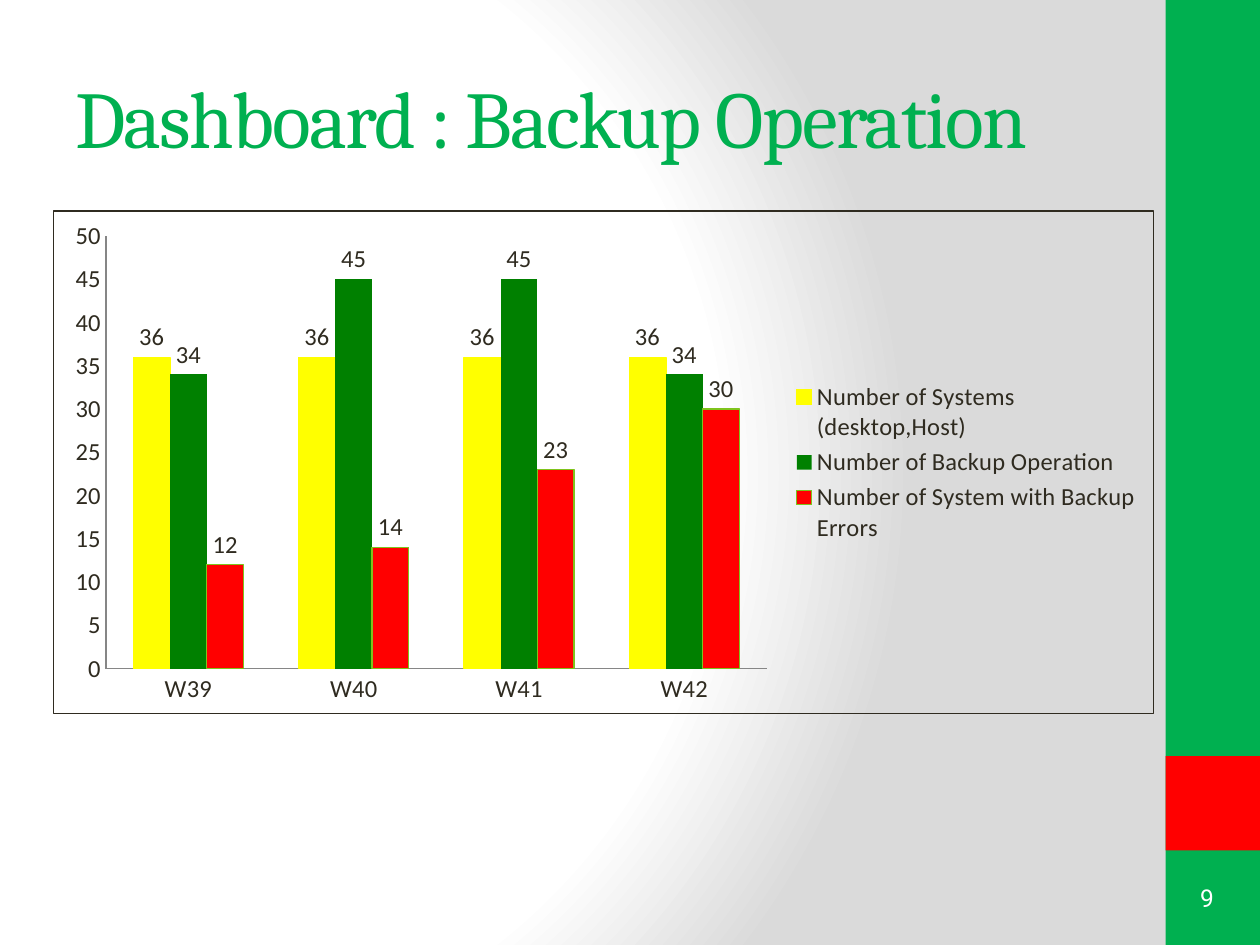
"""Build the backup operation dashboard slide."""
from lxml import etree
from pptx import Presentation
from pptx import util as u
from pptx.chart.data import CategoryChartData
from pptx.dml.color import RGBColor
from pptx.enum import chart as c, shapes, text
from pptx.oxml import parse_xml
from pptx.oxml.ns import qn

GREEN = RGBColor(0x00, 0xB0, 0x50)
RED = RGBColor(0xFF, 0x00, 0x00)
WHITE = RGBColor(0xFF, 0xFF, 0xFF)
YELLOW = RGBColor(0xFF, 0xFF, 0x00)
DARK_GREEN = RGBColor(0x00, 0x80, 0x00)
LIME = RGBColor(0x7F, 0xC3, 0x1C)
INK = RGBColor(0x2F, 0x2B, 0x20)
AXIS_GRAY = RGBColor(0x86, 0x86, 0x86)
SILVER = RGBColor(0xDA, 0xDA, 0xDA)
DRAWING = "http://schemas.openxmlformats.org/drawingml/2006/main"
CHART = "http://schemas.openxmlformats.org/drawingml/2006/chart"


class Dashboard:
    def __init__(self, slide, chart_font):
        self.slide = slide
        self.chart_font = chart_font

    def background(self, stops, focus):
        fill = self.slide.background.fill
        fill.solid()
        properties = self.slide.element.find(".//" + qn("p:bgPr"))
        marks = "".join(
            f'<a:gs pos="{position * 1000}"><a:srgbClr val="{color}"/></a:gs>'
            for position, color in stops)
        edges = " ".join(f'{side}="{value * 1000}"' for side, value in zip("ltrb", focus))
        gradient = parse_xml(
            f'<a:gradFill xmlns:a="{DRAWING}" rotWithShape="1"><a:gsLst>{marks}</a:gsLst>'
            f'<a:path path="circle"><a:fillToRect {edges}/></a:path></a:gradFill>')
        properties.replace(properties.find(qn("a:solidFill")), gradient)

    def rectangle(self, box, color):
        shape = self.slide.shapes.add_shape(
            shapes.MSO_SHAPE.RECTANGLE, *map(u.Inches, box))
        shape.shadow.inherit = False
        shape.fill.solid()
        shape.fill.fore_color.rgb = color
        shape.line.fill.background()

    def label(self, box, words, font, size, color, align=text.PP_ALIGN.LEFT,
              margins=(0.1, 0.05), spacing=0):
        frame = self.slide.shapes.add_textbox(*map(u.Inches, box)).text_frame
        frame.word_wrap = True
        frame.vertical_anchor = text.MSO_ANCHOR.MIDDLE
        frame.margin_left = frame.margin_right = u.Inches(margins[0])
        frame.margin_top = frame.margin_bottom = u.Inches(margins[1])
        paragraph = frame.paragraphs[0]
        paragraph.alignment = align
        run = paragraph.add_run()
        run.text = words
        run.font.name = font
        run.font.size = u.Pt(size)
        run.font.color.rgb = color
        if spacing:
            run.font._element.set("spc", str(spacing * 100))

    def column_chart(self, box, categories, series_styles):
        data = CategoryChartData()
        data.categories = categories
        for name, values, _, _ in series_styles:
            data.add_series(name, values)
        chart = self.slide.shapes.add_chart(
            c.XL_CHART_TYPE.COLUMN_CLUSTERED, *map(u.Inches, box), data).chart
        chart.has_title = False
        chart.font.name = self.chart_font
        chart.font.size = u.Pt(14)
        chart.font.color.rgb = INK
        chart.has_legend = True
        chart.legend.position = c.XL_LEGEND_POSITION.RIGHT
        chart.legend.include_in_layout = False
        for axis in (chart.category_axis, chart.value_axis):
            axis.has_major_gridlines = False
            axis.major_tick_mark = c.XL_TICK_MARK.NONE
            axis.format.line.color.rgb = AXIS_GRAY
        chart.value_axis.minimum_scale = 0
        chart.value_axis.maximum_scale = 50
        chart.value_axis.major_unit = 5
        plot = chart.plots[0]
        plot.gap_width = 150
        plot.overlap = 0
        plot.vary_by_categories = False
        for series, (_, _, color, outline) in zip(plot.series, series_styles):
            series.format.fill.solid()
            series.format.fill.fore_color.rgb = color
            if outline:
                series.format.line.color.rgb = outline
                series.format.line.width = u.Pt(0.75)
            labels = series.data_labels
            labels.show_value = True
            labels.position = c.XL_LABEL_POSITION.OUTSIDE_END
        self.chart_border(chart, INK, 0.75)

    def chart_border(self, chart, color, width):
        border = etree.fromstring(
            f'<c:spPr xmlns:c="{CHART}" xmlns:a="{DRAWING}"><a:noFill/>'
            f'<a:ln w="{u.Pt(width)}"><a:solidFill><a:srgbClr val="{color}"/>'
            '</a:solidFill></a:ln></c:spPr>')
        chart.element.find(qn("c:chart")).addnext(border)


presentation = Presentation()
presentation.slide_width = u.Inches(10)
presentation.slide_height = u.Inches(7.5)
slide = presentation.slides.add_slide(presentation.slide_layouts[6])
dashboard = Dashboard(slide, "Calibri")
dashboard.background([(0, WHITE), (75, WHITE), (100, SILVER)], (20, 50, 100, 50))
dashboard.rectangle((9.25, 0, 0.75, 7.5), GREEN)
dashboard.rectangle((9.25, 6, 0.75, 0.75), RED)
dashboard.label((9.33, 6.92, 0.5, 0.41), "9", "Roboto", 14, WHITE,
                text.PP_ALIGN.CENTER, margins=(0, 0))
dashboard.label((0.5, 0.3, 8.33, 1.25), "Dashboard : Backup Operation",
                "Cambria", 46, GREEN, spacing=-1)
dashboard.column_chart(
    (0.42, 1.67, 8.74, 4),
    ["W39", "W40", "W41", "W42"],
    [("Number of Systems (desktop,Host)", (36, 36, 36, 36), YELLOW, YELLOW),
     ("Number of Backup Operation", (34, 45, 45, 34), DARK_GREEN, None),
     ("Number of System with Backup Errors", (12, 14, 23, 30), RED, LIME)])
presentation.save("out.pptx")
